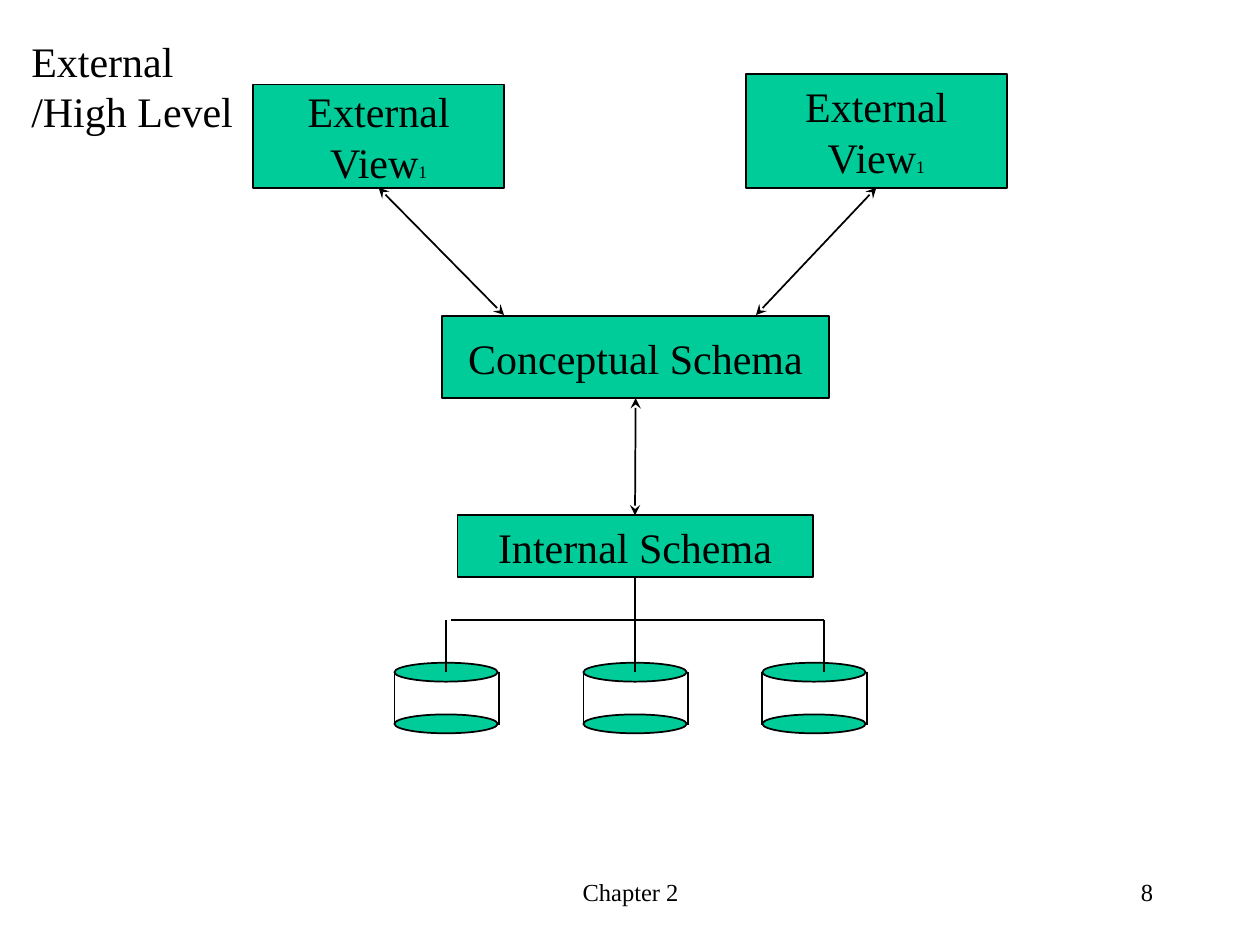
from lxml import etree
from pptx import Presentation
from pptx.dml.color import RGBColor
from pptx.enum import shapes, text
from pptx.oxml.ns import qn
from pptx.util import Inches, Pt

GREEN = RGBColor(0x00, 0xCC, 0x99)
BLACK = RGBColor(0x00, 0x00, 0x00)
FONT = "Times New Roman"
LEFT, CENTER, RIGHT = text.PP_ALIGN.LEFT, text.PP_ALIGN.CENTER, text.PP_ALIGN.RIGHT
TOP, MIDDLE = text.MSO_ANCHOR.TOP, text.MSO_ANCHOR.MIDDLE


def add_run(p, content, size):
    r = p.add_run()
    r.text = content
    r.font.name = FONT
    r.font.size = Pt(size)
    r.font.color.rgb = BLACK


def write(sp, content, size=24, align=CENTER, anchor=MIDDLE, wrap=True, index=""):
    tf = sp.text_frame
    tf.word_wrap = wrap
    tf.vertical_anchor = anchor
    for i, line in enumerate(content.split("\n")):
        p = tf.add_paragraph() if i else tf.paragraphs[0]
        p.alignment = align
        add_run(p, line, size)
    if index:
        add_run(p, index, 10)


def add_filled(s, kind, x, y, w, h):
    sp = s.shapes.add_shape(kind, Inches(x), Inches(y), Inches(w), Inches(h))
    sp.shadow.inherit = False
    sp.fill.solid()
    sp.fill.fore_color.rgb = GREEN
    sp.line.color.rgb = BLACK
    sp.line.width = Pt(1)
    return sp


def add_box(s, x, y, w, h, content, **style):
    sp = add_filled(s, shapes.MSO_SHAPE.RECTANGLE, x, y, w, h)
    write(sp, content, **style)
    return sp


def add_label(s, x, y, w, h, content, **style):
    sp = s.shapes.add_textbox(Inches(x), Inches(y), Inches(w), Inches(h))
    write(sp, content, **style)


def add_line(s, x1, y1, x2, y2, arrows=False, begin=None, end=None):
    cx = s.shapes.add_connector(
        shapes.MSO_CONNECTOR.STRAIGHT, Inches(x1), Inches(y1), Inches(x2), Inches(y2)
    )
    cx.line.color.rgb = BLACK
    cx.line.width = Pt(1)
    if arrows:
        ln = cx.line._get_or_add_ln()
        for tag in ("a:headEnd", "a:tailEnd"):
            etree.SubElement(ln, qn(tag), type="stealth")
    etree.SubElement(cx._element.spPr, qn("a:effectLst"))
    if begin:
        cx.begin_connect(begin, 2)
    if end:
        cx.end_connect(end, 0)


def add_disk(s, x):
    add_filled(s, shapes.MSO_SHAPE.OVAL, x, 5.26, 0.82, 0.15)
    for side in (x, x + 0.83):
        add_line(s, side, 5.33, side, 5.75)
    add_filled(s, shapes.MSO_SHAPE.OVAL, x, 5.67, 0.82, 0.15)


def main():
    prs = Presentation()
    prs.slide_width, prs.slide_height = Inches(10), Inches(7.5)
    s = prs.slides.add_slide(prs.slide_layouts[6])

    left_view = add_box(s, 2.01, 0.67, 1.99, 0.82, "External\nView", index="1")
    right_view = add_box(s, 5.92, 0.59, 2.07, 0.9, "External\nView", index="1")
    conceptual = add_box(s, 3.51, 2.51, 3.07, 0.65, "Conceptual Schema")
    internal = add_box(s, 3.63, 4.09, 2.82, 0.49, "Internal Schema")

    for x in (6.05, 4.63, 3.13):
        add_disk(s, x)

    add_line(s, 5.04, 4.58, 5.04, 4.92, begin=internal)
    add_line(s, 3.58, 4.92, 6.54, 4.92)
    for x in (3.54, 5.04, 6.54):
        add_line(s, x, 4.92, x, 5.33)

    add_line(s, 5.04, 3.17, 5.04, 4.08, arrows=True, begin=conceptual, end=internal)
    add_line(s, 3, 1.5, 4, 2.5, arrows=True, begin=left_view)
    add_line(s, 7.08, 1.5, 6, 2.5, arrows=True, begin=right_view)

    add_label(s, 0.15, 0.23, 1.8, 0.9, "External\n/High Level",
              align=LEFT, anchor=TOP, wrap=False)
    add_label(s, 3.42, 6.83, 3.17, 0.5, "Chapter 2", size=14)
    add_label(s, 7.17, 6.83, 2.08, 0.5, "8", size=14, align=RIGHT)

    prs.save("out.pptx")


if __name__ == "__main__":
    main()
